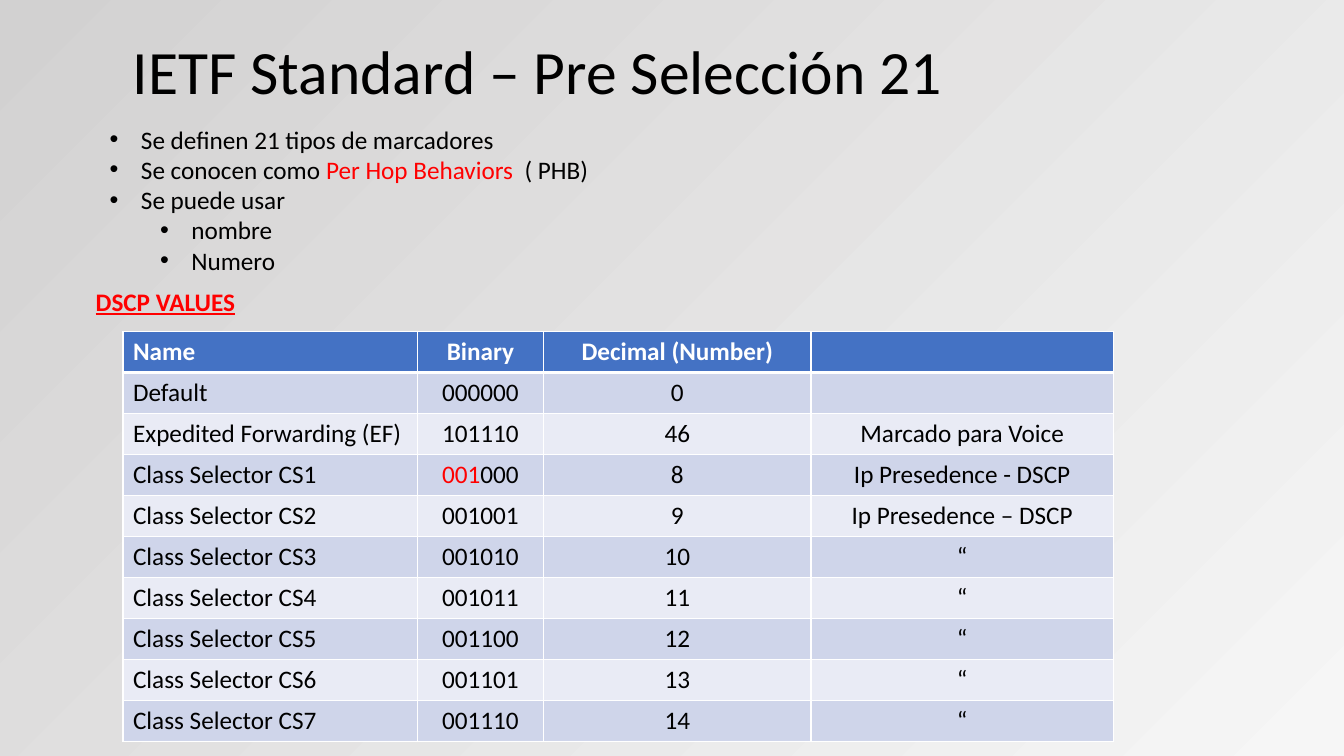
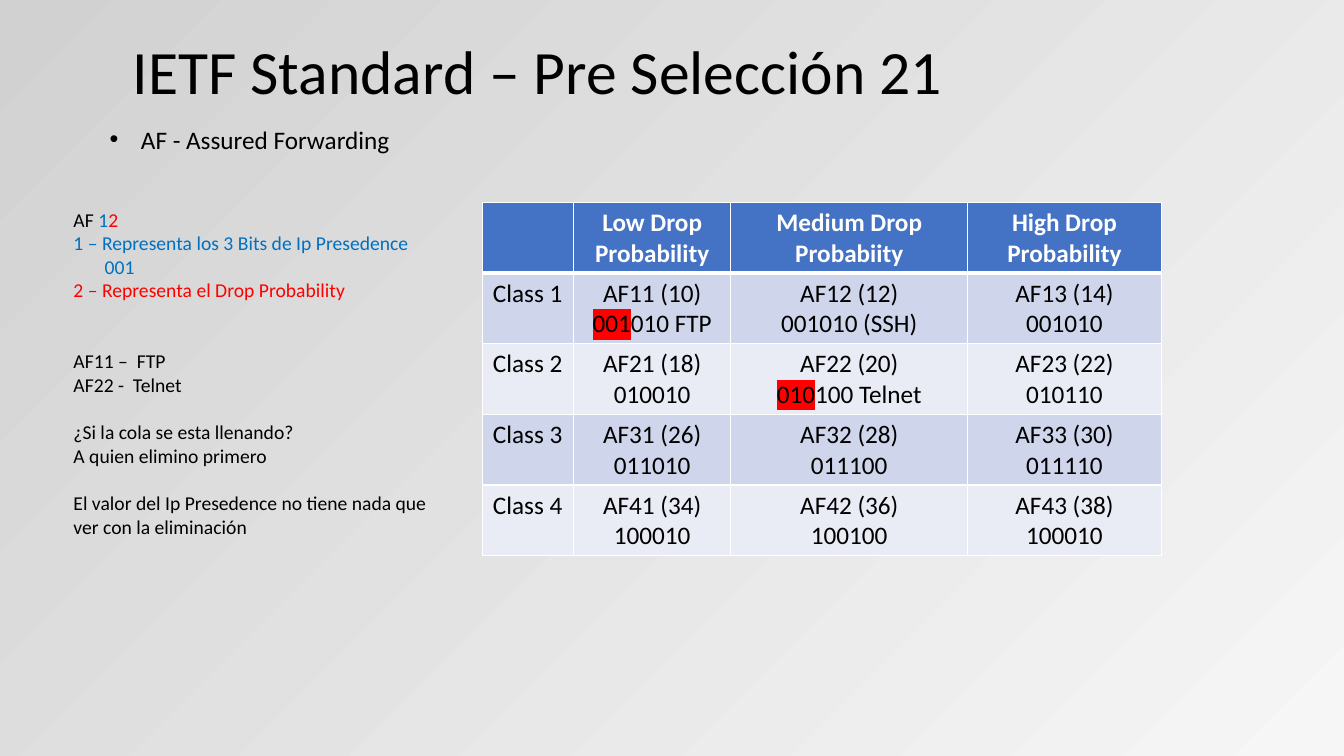
from lxml.etree import SubElement
from pptx import Presentation
from pptx.dml.color import RGBColor as Rgb
from pptx.enum.text import MSO_ANCHOR as Anchor, PP_ALIGN as Align
from pptx.oxml.ns import qn
from pptx.util import Emu, Inches, Pt

WIDTH, HEIGHT = Inches(13.333), Inches(7.5)
FONT = "Calibri"
TITLE = "IETF Standard – Pre Selección 21"
COLORS = {
    "black": "000000", "white": "FFFFFF", "red": "FF0000", "blue": "0070C0",
    "header": "4472C4", "band_dark": "CFD5EA", "band_light": "E9EBF5",
    "back_light": "F6F6F6", "back_dark": "D2D1D1",
}
BODY = {"name": FONT, "size": Pt(18), "color": "black"}
TITLE_FONT = {**BODY, "size": Pt(44)}
NOTE = {**BODY, "size": Pt(14)}
HEADER = {**BODY, "color": "white", "bold": True}
CAPTION = {**BODY, "color": "red", "bold": True, "underline": True}
RED, BLUE = {"color": "red"}, {"color": "blue"}
MARKED = {"highlight": "red"}
NOTE_LINE = Pt(17)
INDENT = Inches(0.31)


# Lengths as percentages of the slide
def across(share):
    return Emu(round(WIDTH * share / 100))


def down(share):
    return Emu(round(HEIGHT * share / 100))


# Text: a paragraph is a string or a list of (text, format) runs
def add_run(paragraph, text, values):
    run = paragraph.add_run()
    run.text = text
    for key, value in values.items():
        if key == "color":
            run.font.color.rgb = Rgb.from_string(COLORS[value])
        elif key != "highlight":
            setattr(run.font, key, value)
    if "highlight" in values:
        properties = run.font._element
        mark = SubElement(properties, qn("a:highlight"))
        SubElement(mark, qn("a:srgbClr"), val=COLORS[values["highlight"]])
        properties.find(qn("a:solidFill")).addnext(mark)


def write_paragraph(paragraph, content, values, **layout):
    for key, value in layout.items():
        setattr(paragraph, key, value)
    runs = [(content, {})] if isinstance(content, str) else content
    for text, changes in runs:
        add_run(paragraph, text, {**values, **changes})


def paragraphs_of(frame, count):
    return [frame.paragraphs[0]] + [frame.add_paragraph() for _ in range(count - 1)]


def add_text_frame(slide, left, top, width, height):
    shape = slide.shapes.add_textbox(across(left), down(top), across(width), down(height))
    shape.text_frame.word_wrap = True
    return shape.text_frame


def indent(paragraph, margin, first=0):
    properties = paragraph._p.get_or_add_pPr()
    properties.set("marL", str(margin))
    properties.set("indent", str(first))
    return properties


def add_bullets(slide, height, items):
    frame = add_text_frame(slide, 7.43, 15.73, 72.9, height)
    for paragraph, (level, content) in zip(paragraphs_of(frame, len(items)), items):
        properties = indent(paragraph, INDENT + level * Inches(0.5), -INDENT)
        SubElement(properties, qn("a:buFont"), typeface="Arial")
        SubElement(properties, qn("a:buChar"), char="•")
        write_paragraph(paragraph, content, BODY, level=level)


def add_notes(slide, notes):
    frame = add_text_frame(slide, 4.73, 26.8, 28.2, 54.8)
    for paragraph, (gap, margin, content) in zip(paragraphs_of(frame, len(notes)), notes):
        indent(paragraph, margin)
        write_paragraph(paragraph, content, NOTE, space_before=gap * NOTE_LINE)


# Tables
def add_borders(cell, top, bottom):
    properties = cell._tc.get_or_add_tcPr()
    sides = {"a:lnL": 1, "a:lnR": 1, "a:lnT": top, "a:lnB": bottom}
    for position, (side, points) in enumerate(sides.items()):
        line = SubElement(properties, qn(side), w=str(Pt(points)))
        fill = SubElement(line, qn("a:solidFill"))
        SubElement(fill, qn("a:srgbClr"), val=COLORS["white"])
        properties.insert(position, line)


def fill_cell(cell, content, row, column):
    if row == 0:
        color = "header"
    else:
        color = "band_dark" if row % 2 else "band_light"
    cell.fill.solid()
    cell.fill.fore_color.rgb = Rgb.from_string(COLORS[color])
    add_borders(cell, 3 if row == 1 else 1, 3 if row == 0 else 1)
    lines = content.split("\n") if isinstance(content, str) else content
    for paragraph, line in zip(paragraphs_of(cell.text_frame, len(lines)), lines):
        write_paragraph(paragraph, line, BODY if row else HEADER,
                        alignment=Align.CENTER if column else Align.LEFT)
        if not line:
            paragraph.font.size = BODY["size"]


def add_grid(slide, left, top, widths, row_height, rows):
    table = slide.shapes.add_table(
        len(rows), len(widths), across(left), down(top),
        across(sum(widths)), down(row_height * len(rows))).table
    for column, width in zip(table.columns, widths):
        column.width = across(width)
    for row_number, cells in enumerate(rows):
        table.rows[row_number].height = down(row_height)
        for column_number, content in enumerate(cells):
            fill_cell(table.cell(row_number, column_number), content,
                      row_number, column_number)


# Shared background and title
def paint_background(slide):
    fill = slide.background.fill
    fill.gradient()
    for stop, color in zip(fill.gradient_stops, ("back_light", "back_dark")):
        stop.color.rgb = Rgb.from_string(COLORS[color])
    gradient = next(slide._element.iter(qn("a:gradFill")))
    dark = list(gradient.iter(qn("a:srgbClr")))[-1]
    SubElement(dark, qn("a:alpha"), val="93000")
    gradient.remove(gradient.find(qn("a:lin")))
    circle = SubElement(gradient, qn("a:path"), path="circle")
    SubElement(circle, qn("a:fillToRect"), l="100000", t="100000")


def add_slide(presentation):
    slide = presentation.slides.add_slide(presentation.slide_layouts[6])
    paint_background(slide)
    frame = add_text_frame(slide, 9.15, 1.2, 83.4, 17.2)
    frame.vertical_anchor = Anchor.MIDDLE
    write_paragraph(frame.paragraphs[0], TITLE, TITLE_FONT, line_spacing=0.9)
    return slide


# Slides
def build_dscp_slide(presentation):
    slide = add_slide(presentation)
    add_bullets(slide, 21.6, [
        (0, "Se definen 21 tipos de marcadores"),
        (0, [("Se conocen como ", {}), ("Per Hop Behaviors  ", RED), ("( PHB)", {})]),
        (0, "Se puede usar"),
        (1, "nombre"),
        (1, "Numero"),
    ])
    caption = add_text_frame(slide, 6.38, 37.2, 85.3, 5.33)
    write_paragraph(caption.paragraphs[0], "DSCP VALUES", CAPTION)

    remarks = ["Ip Presedence - DSCP", "Ip Presedence – DSCP"] + ["“"] * 5
    selectors = [[f"Class Selector CS{number}", f"{number + 7:06b}", str(number + 7), remark]
                 for number, remark in enumerate(remarks, 1)]
    selectors[0][1] = [[("001", RED), ("000", {})]]
    add_grid(slide, 9.15, 43.87, (21.9, 9.4, 19.9, 22.5), 5.42, [
        ["Name", "Binary", "Decimal (Number)", ""],
        ["Default", "000000", "0", ""],
        ["Expedited Forwarding (EF)", "101110", "46", "Marcado para Voice"],
        *selectors,
    ])


def build_forwarding_slide(presentation):
    slide = add_slide(presentation)
    add_bullets(slide, 5.33, [(0, "AF - Assured Forwarding")])

    codes = [
        [[("001", MARKED), ("010 FTP", {})], "001010 (SSH)", "001010"],
        ["010010", [("010", MARKED), ("100 Telnet", {})], "010110"],
        ["011010", "011100", "011110"],
        ["100010", "100100", "100010"],
    ]
    classes = [
        [f"Class {level}"] + [[f"AF{level}{drop} ({8 * level + 2 * drop})", code]
                              for drop, code in enumerate(row, 1)]
        for level, row in enumerate(codes, 1)]
    add_grid(slide, 35.93, 26.8, (6.75, 11.7, 17.63, 14.4), 9.33, [
        ["", "Low Drop\nProbability", "Medium Drop\nProbabiity", "High Drop\nProbability"],
        *classes,
    ])

    # Each note: blank lines above, left indent, content
    add_notes(slide, [
        (0, 0, [("AF ", {}), ("1", BLUE), ("2", RED)]),
        (0, 0, [("1 – Representa los 3 Bits de Ip Presedence", BLUE)]),
        (0, INDENT, [("001", BLUE)]),
        (0, 0, [("2 – Representa el Drop Probability", RED)]),
        (2, 0, "AF11 –  FTP"),
        (0, 0, "AF22 -  Telnet"),
        (1, 0, "¿Si la cola se esta llenando?"),
        (0, 0, "A quien elimino primero"),
        (1, 0, "El valor del Ip Presedence no tiene nada que ver con la eliminación"),
    ])


def main():
    presentation = Presentation()
    presentation.slide_width, presentation.slide_height = WIDTH, HEIGHT
    build_dscp_slide(presentation)
    build_forwarding_slide(presentation)
    presentation.save("out.pptx")


if __name__ == "__main__":
    main()
